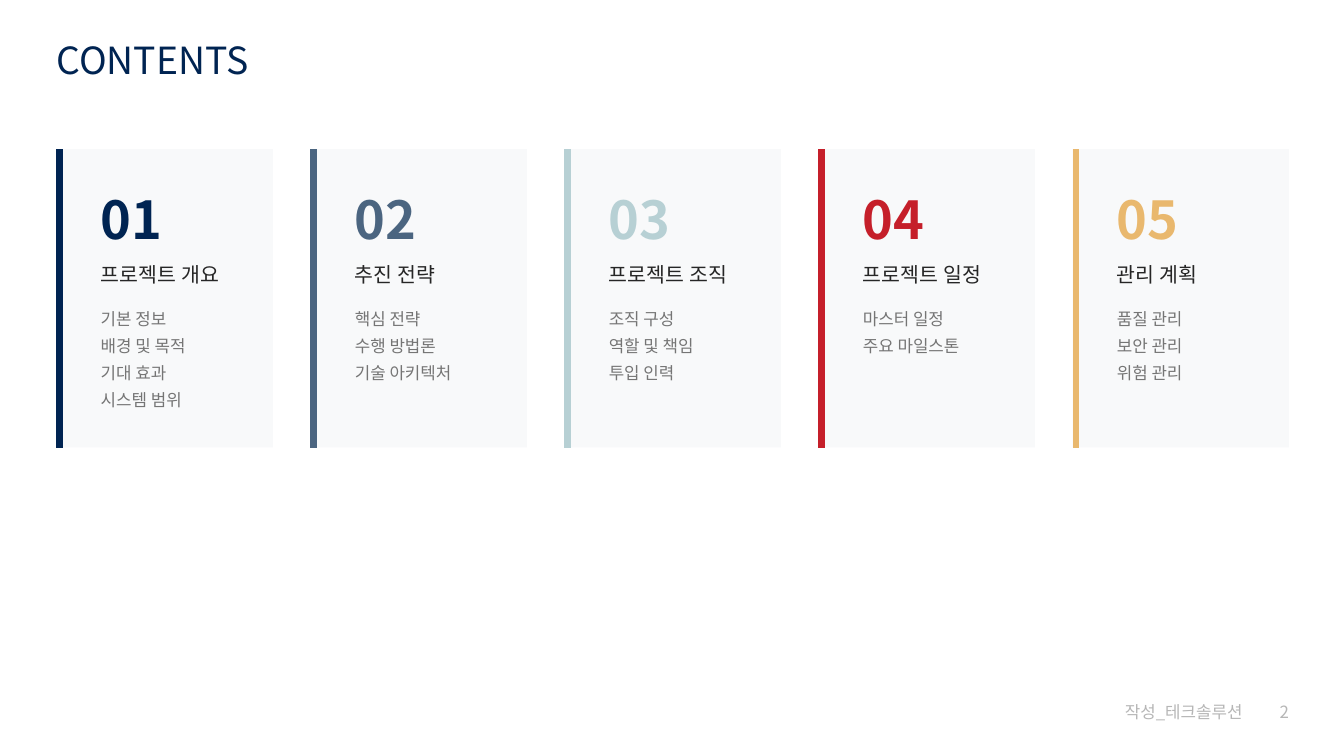
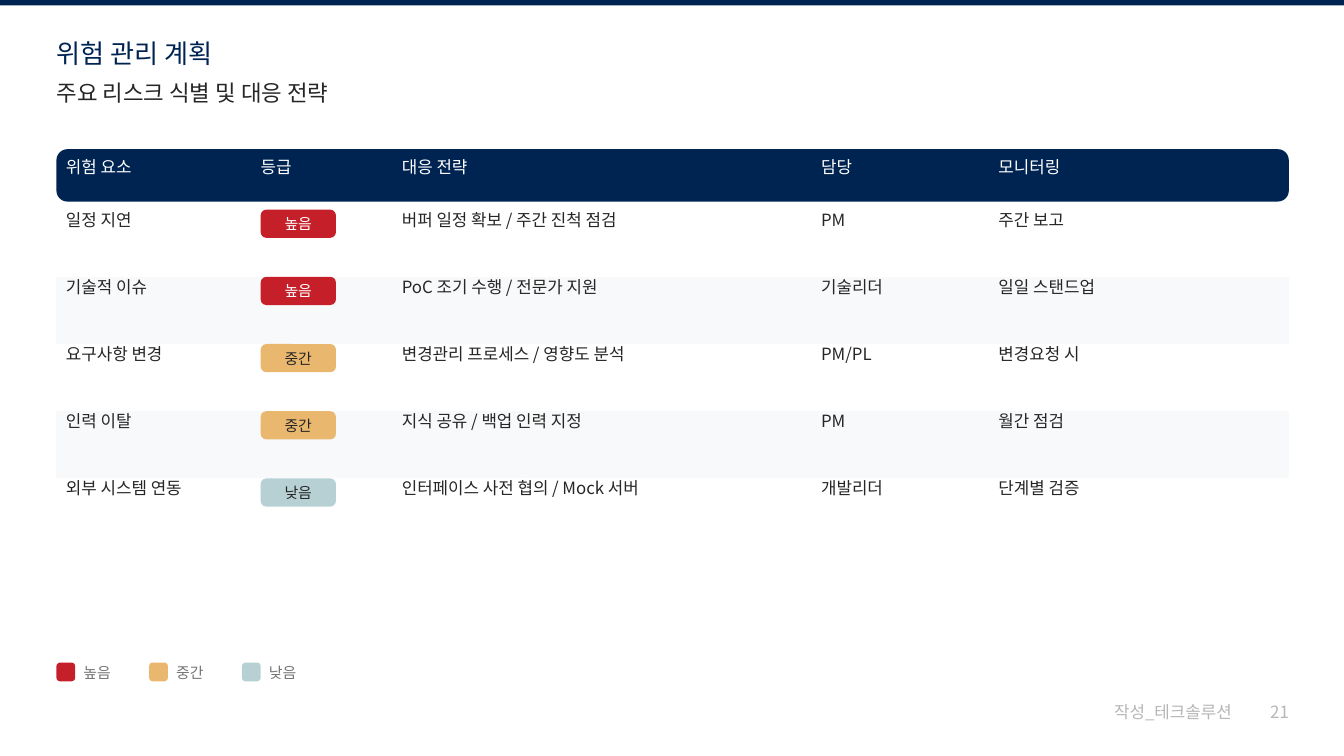
"""Builds a contents slide and a risk management slide."""
from dataclasses import dataclass
from typing import Optional

from lxml.etree import SubElement
from pptx import Presentation
from pptx.dml.color import RGBColor
from pptx.enum.shapes import MSO_CONNECTOR as Connector, MSO_SHAPE as Shape
from pptx.enum.text import MSO_ANCHOR as Anchor, MSO_AUTO_SIZE as AutoSize, PP_ALIGN as Align
from pptx.oxml.ns import qn
from pptx.util import Inches, Pt

FONT = "Noto Sans CJK KR"
COLORS = {
    "navy": "002452", "slate": "4B6580", "mist": "B7D0D4", "red": "C51F2A", "gold": "E9B86E",
    "panel": "F8F9FA", "ink": "262626", "gray": "757575", "footer": "B6B6B6", "white": "FFFFFF",
}
LEFT, TOP, WIDTH = 0.42, 1.11, 9.17
RIGHT = LEFT + WIDTH
CARD_WIDTH, CARD_HEIGHT, BAR_POINTS = 1.61, 2.22, 3.75
HEADER_HEIGHT, HEADER_GAP, ROW_HEIGHT, CELL_INSET = 0.39, 0.06, 0.5, 0.07
BADGE_WIDTH, BADGE_HEIGHT = 0.56, 0.21
SWATCH, LEGEND_TOP, LEGEND_PITCH = 0.14, 4.93, 0.69
NO_GRID_STYLE = "{2D5ABB26-0587-4C30-8999-92F81FD0307C}"


@dataclass(frozen=True)
class Chapter:
    title: str
    color: str
    topics: tuple[str, ...]


@dataclass(frozen=True)
class Level:
    label: str
    fill: str
    ink: str


@dataclass(frozen=True)
class Risk:
    factor: str
    level: Level
    response: str
    owner: str
    monitoring: str


CHAPTERS = (
    Chapter("프로젝트 개요", "navy", ("기본 정보", "배경 및 목적", "기대 효과", "시스템 범위")),
    Chapter("추진 전략", "slate", ("핵심 전략", "수행 방법론", "기술 아키텍처")),
    Chapter("프로젝트 조직", "mist", ("조직 구성", "역할 및 책임", "투입 인력")),
    Chapter("프로젝트 일정", "red", ("마스터 일정", "주요 마일스톤")),
    Chapter("관리 계획", "gold", ("품질 관리", "보안 관리", "위험 관리")),
)
HIGH = Level("높음", "red", "white")
MEDIUM = Level("중간", "gold", "ink")
LOW = Level("낮음", "mist", "ink")
RISKS = (
    Risk("일정 지연", HIGH, "버퍼 일정 확보 / 주간 진척 점검", "PM", "주간 보고"),
    Risk("기술적 이슈", HIGH, "PoC 조기 수행 / 전문가 지원", "기술리더", "일일 스탠드업"),
    Risk("요구사항 변경", MEDIUM, "변경관리 프로세스 / 영향도 분석", "PM/PL", "변경요청 시"),
    Risk("인력 이탈", MEDIUM, "지식 공유 / 백업 인력 지정", "PM", "월간 점검"),
    Risk("외부 시스템 연동", LOW, "인터페이스 사전 협의 / Mock 서버", "개발리더", "단계별 검증"),
)
HEADINGS = ("위험 요소", "등급", "대응 전략", "담당", "모니터링")
COLUMN_LEFTS = (LEFT, 1.87, 2.92, 6.04, 7.36)


def rgb(name: str) -> RGBColor:
    return RGBColor.from_string(COLORS[name])


def fill_paragraphs(frame, text: str, *, size: float, color: str, bold: bool = False,
                    align=Align.LEFT, line: Optional[float] = None, before: float = 0,
                    after: float = 0) -> None:
    frame.text = text
    for para in frame.paragraphs:
        para.alignment = align
        para.space_before, para.space_after = Pt(before), Pt(after)
        if line:
            para.line_spacing = Pt(line)
        for span in para.runs:
            span.font.name, span.font.size, span.font.bold = FONT, Pt(size), bold
            span.font.color.rgb = rgb(color)
            SubElement(span.font._element, qn("a:ea"), typeface=FONT)


def write(frame, text: str, *, anchor=Anchor.TOP, **style) -> None:
    frame.word_wrap = True
    frame.auto_size = AutoSize.NONE
    frame.vertical_anchor = anchor
    frame.margin_left = frame.margin_right = frame.margin_top = frame.margin_bottom = 0
    fill_paragraphs(frame, text, **style)


def add_text(page, text: str, left: float, top: float, width: float, height: float,
             **style) -> None:
    box = page.shapes.add_textbox(Inches(left), Inches(top), Inches(width), Inches(height))
    write(box.text_frame, text, **style)


def add_block(page, left: float, top: float, width: float, height: float, color: str,
              corner: Optional[float] = None):
    kind = Shape.RECTANGLE if corner is None else Shape.ROUNDED_RECTANGLE
    block = page.shapes.add_shape(kind, Inches(left), Inches(top), Inches(width), Inches(height))
    if corner is not None:
        block.adjustments[0] = corner
    block.shadow.inherit = False
    block.fill.solid()
    block.fill.fore_color.rgb = rgb(color)
    block.line.fill.background()
    return block


def add_bar(page, left: float, color: str) -> None:
    bar = page.shapes.add_connector(Connector.STRAIGHT, Inches(left), Inches(TOP),
                                    Inches(left), Inches(TOP + CARD_HEIGHT))
    bar.line.color.rgb = rgb(color)
    bar.line.width = Pt(BAR_POINTS)
    SubElement(bar._element.spPr, qn("a:effectLst"))


def add_page(deck, title: str, number: int, *, size: float, width: float, height: float):
    page = deck.slides.add_slide(deck.slide_layouts.get_by_name("Title Only"))
    heading = page.shapes.title
    heading.left, heading.top = Inches(LEFT), Inches(0.28)
    heading.width, heading.height = Inches(width), Inches(height)
    write(heading.text_frame, title, size=size, color="navy")
    number_width = 0.08 * len(str(number))
    add_text(page, "작성_테크솔루션", RIGHT - number_width - 1.14, 5.22, 1, 0.15,
             size=9, color="footer")
    add_text(page, str(number), RIGHT - number_width, 5.22, number_width, 0.15,
             size=9, color="footer", align=Align.RIGHT)
    return page


def add_card(page, index: int, chapter: Chapter) -> None:
    left = LEFT + index * (WIDTH - CARD_WIDTH) / (len(CHAPTERS) - 1)
    add_block(page, left, TOP, CARD_WIDTH, CARD_HEIGHT, "panel")
    add_bar(page, left + BAR_POINTS / 72 / 2, chapter.color)
    inner = left + 0.33
    add_text(page, f"{index + 1:02}", inner, 1.39, 1.1, 0.45,
             size=28, color=chapter.color, bold=True, after=8)
    add_text(page, chapter.title, inner, 1.95, 1.1, 0.17, size=11, color="ink", after=10)
    add_text(page, "\n".join(chapter.topics), inner, 2.25, 1.1, 0.2 * len(chapter.topics),
             size=9, color="gray", line=14.4)


def format_cell(cell, text: str, color: str, top_margin: float, fill: Optional[str]) -> None:
    cell.margin_left, cell.margin_top = Inches(CELL_INSET), Inches(top_margin)
    cell.margin_right = cell.margin_bottom = 0
    cell.vertical_anchor = Anchor.TOP
    fill_paragraphs(cell.text_frame, text, size=9, color=color, line=11.5)
    properties = cell._tc.get_or_add_tcPr()
    for side in ("a:lnL", "a:lnR", "a:lnT", "a:lnB"):
        SubElement(SubElement(properties, qn(side), w="0"), qn("a:noFill"))
    if fill:
        cell.fill.solid()
        cell.fill.fore_color.rgb = rgb(fill)
    else:
        cell.fill.background()


def add_risk_table(page) -> None:
    add_block(page, LEFT, TOP, WIDTH, HEADER_HEIGHT, "navy", 0.21)
    body_top = TOP + HEADER_HEIGHT + HEADER_GAP
    frame = page.shapes.add_table(len(RISKS) + 1, len(HEADINGS), Inches(LEFT), Inches(TOP),
                                  Inches(WIDTH), Inches(body_top - TOP + ROW_HEIGHT * len(RISKS)))
    table = frame.table
    table.first_row = table.horz_banding = False
    table._tbl.tblPr.find(qn("a:tableStyleId")).text = NO_GRID_STYLE
    for column, start, end in zip(table.columns, COLUMN_LEFTS, COLUMN_LEFTS[1:] + (RIGHT,)):
        column.width = Inches(end - start)
    table.rows[0].height = Inches(body_top - TOP)
    for cell, heading in zip(table.rows[0].cells, HEADINGS):
        format_cell(cell, heading, "white", HEADER_GAP, None)
    for index, risk in enumerate(RISKS):
        row = table.rows[index + 1]
        row.height = Inches(ROW_HEIGHT)
        texts = (risk.factor, "", risk.response, risk.owner, risk.monitoring)
        for cell, text in zip(row.cells, texts):
            format_cell(cell, text, "ink", 0, "panel" if index % 2 else None)
        badge = add_block(page, COLUMN_LEFTS[1] + CELL_INSET, body_top + index * ROW_HEIGHT,
                          BADGE_WIDTH, BADGE_HEIGHT, risk.level.fill, 0.2)
        write(badge.text_frame, risk.level.label, size=8, color=risk.level.ink,
              align=Align.CENTER, anchor=Anchor.MIDDLE)


def add_legend(page) -> None:
    for index, level in enumerate((HIGH, MEDIUM, LOW)):
        left = LEFT + index * LEGEND_PITCH
        add_block(page, left, LEGEND_TOP, SWATCH, SWATCH, level.fill, 0.2)
        add_text(page, level.label, left + 0.2, LEGEND_TOP + 0.01, 0.25, 0.12,
                 size=8, color="gray")


def build_contents(deck) -> None:
    page = add_page(deck, "CONTENTS", 2, size=20, width=1.68, height=0.32)
    for index, chapter in enumerate(CHAPTERS):
        add_card(page, index, chapter)


def build_risks(deck) -> None:
    page = add_page(deck, "위험 관리 계획", 21, size=14, width=2.32, height=0.23)
    add_block(page, 0, 0, 10, 0.04, "navy")
    add_text(page, "주요 리스크 식별 및 대응 전략", LEFT, 0.59, 2.32, 0.19,
             size=12, color="ink", before=6)
    add_risk_table(page)
    add_legend(page)


def main() -> None:
    deck = Presentation()
    deck.slide_width = Inches(10)
    deck.slide_height = deck.slide_width * 9 // 16
    build_contents(deck)
    build_risks(deck)
    deck.save("out.pptx")


if __name__ == "__main__":
    main()
